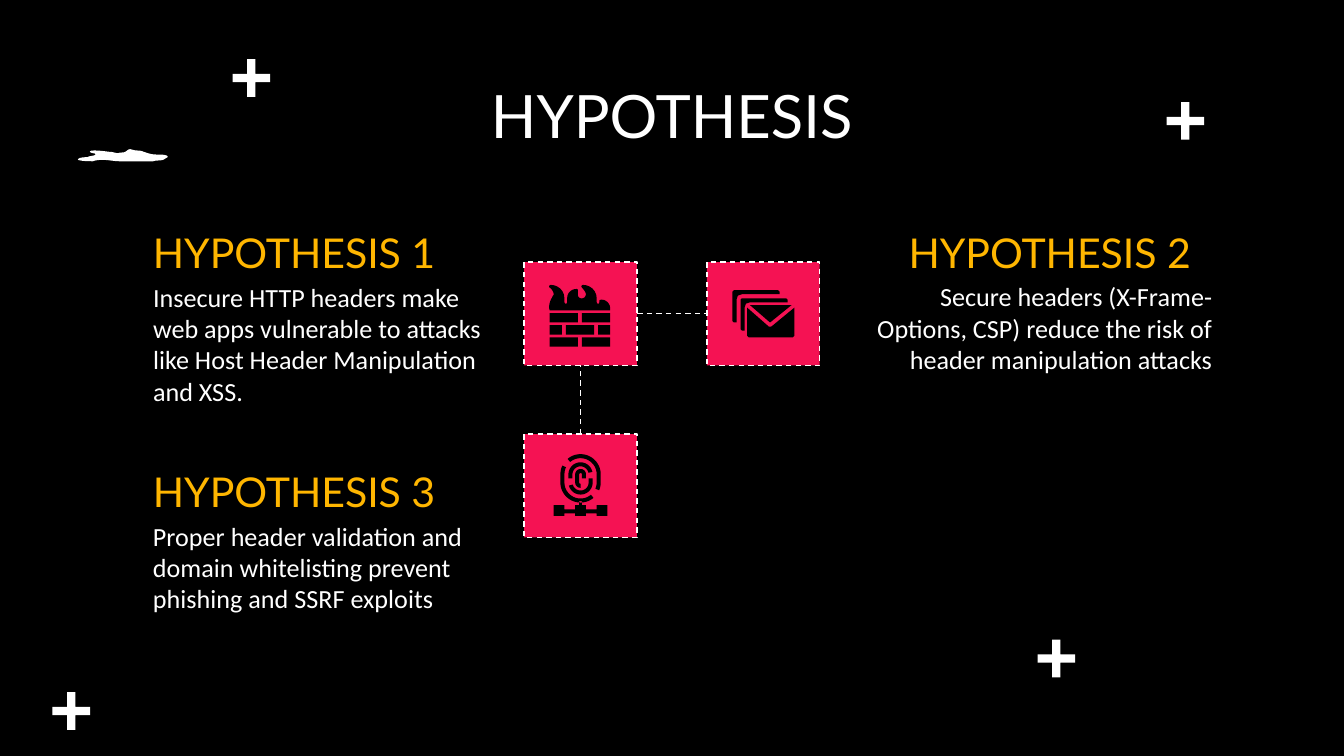
"""Builds the hypothesis slide: three statements beside a linked trio of icon tiles."""
from dataclasses import dataclass
from math import cos, radians, sin

from lxml import etree
from pptx import Presentation
from pptx.dml.color import RGBColor as RGB
from pptx.enum.dml import MSO_LINE
from pptx.enum.shapes import MSO_CONNECTOR, MSO_SHAPE
from pptx.enum.text import MSO_ANCHOR as ANCHOR, PP_ALIGN as ALIGN
from pptx.oxml.ns import qn
from pptx.util import Inches, Pt


@dataclass(frozen=True)
class Theme:
    black: RGB = RGB(0, 0, 0)
    white: RGB = RGB(255, 255, 255)
    amber: RGB = RGB(0xFF, 0xB6, 0x00)
    crimson: RGB = RGB(0xF5, 0x12, 0x53)
    display: str = "Lato"
    body: str = "Calibri"
    title_size: int = 32
    heading_size: int = 22
    body_size: int = 14
    dash_width: float = 0.75


def apply(target, values):
    for name, value in values.items():
        setattr(target, name, value)


def box(left, top, right, bottom):
    return [(left, top), (right, top), (right, bottom), (left, bottom)]


def shifted(outline, dx, dy):
    return [(x + dx, y + dy) for x, y in outline]


def traced(segments, steps=6):
    points = []
    for segment in segments:
        if len(segment) == 2:
            points.append(segment)
            continue
        x0, y0 = points[-1]
        x1, y1, x2, y2, x3, y3 = segment
        for step in range(1, steps + 1):
            t = step / steps
            a, b, c, d = (1 - t) ** 3, 3 * t * (1 - t) ** 2, 3 * t * t * (1 - t), t ** 3
            points.append((a * x0 + b * x1 + c * x2 + d * x3,
                           a * y0 + b * y1 + c * y2 + d * y3))
    return points


def ridge(inner, outer, start, end):
    def point(radius, degrees):
        rise = sin(radians(degrees))
        center = 3.56 + 0.03 * max(-1, min(1, 10 * rise))
        return 4.32 + radius * cos(radians(degrees)), center + radius * rise

    angles = range(start, end + 1, 3)
    return ([point(outer, angle) for angle in angles]
            + [point(inner, angle) for angle in reversed(angles)])


class SlideBuilder:
    def __init__(self, slide, theme):
        self.slide, self.theme, self.shapes = slide, theme, slide.shapes
        self.paint(slide.background, theme.black)

    def paint(self, item, color):
        item.fill.solid()
        item.fill.fore_color.rgb = color

    def dash(self, item):
        item.line.color.rgb = self.theme.white
        apply(item.line, {"width": Pt(self.theme.dash_width), "dash_style": MSO_LINE.DASH})

    def text(self, wording, area, font, size, color, align=ALIGN.LEFT, anchor=ANCHOR.TOP):
        frame = self.shapes.add_textbox(*map(Inches, area)).text_frame
        margins = dict.fromkeys(
            ("margin_left", "margin_top", "margin_right", "margin_bottom"), Inches(0.1))
        apply(frame, {"word_wrap": True, "vertical_anchor": anchor, **margins})
        paragraph = frame.paragraphs[0]
        paragraph.alignment = align
        run = paragraph.add_run()
        run.text = wording
        apply(run.font, {"name": font, "size": Pt(size)})
        run.font.color.rgb = color

    def hypothesis(self, number, claim, left, top, size, align):
        theme = self.theme
        self.text(claim, (left, top + 0.46, *size), theme.body, theme.body_size,
                  theme.white, align)
        self.text(f"HYPOTHESIS {number}", (left, top, 2.64, 0.63), theme.display,
                  theme.heading_size, theme.amber, align, ANCHOR.BOTTOM)

    def tile(self, left, top):
        tile = self.shapes.add_shape(
            MSO_SHAPE.RECTANGLE, *map(Inches, (left, top, 0.84, 0.77)))
        tile.shadow.inherit = False
        self.paint(tile, self.theme.crimson)
        self.dash(tile)
        return tile

    def link(self, origin, origin_side, target, target_side):
        link = self.shapes.add_connector(MSO_CONNECTOR.STRAIGHT, 0, 0, 0, 0)
        link.begin_connect(origin, origin_side)
        link.end_connect(target, target_side)
        self.dash(link)
        etree.SubElement(link._element.spPr, qn("a:effectLst"))

    def plus(self, left, top):
        plus = self.shapes.add_shape(
            MSO_SHAPE.CROSS, *map(Inches, (left, top, 0.28, 0.28)))
        plus.adjustments[0] = 0.39
        plus.shadow.inherit = False
        self.paint(plus, self.theme.white)
        plus.line.fill.background()

    def outline(self, contours, color):
        pens = [[(Inches(x), Inches(y)) for x, y in contour] for contour in contours]
        builder = self.shapes.build_freeform(*pens[0][0], scale=1.0)
        for index, points in enumerate(pens):
            if index:
                builder.move_to(*points[0])
            builder.add_line_segments(points[1:], close=True)
        form = builder.convert_to_shape()
        form.shadow.inherit = False
        self.paint(form, color)
        form.line.fill.background()
        return form

    def icon(self, *parts):
        self.shapes.add_group_shape(
            [self.outline(contours, self.theme.black) for contours in parts])


CLOUD = [
    (0.97, 1.11), (0.95, 1.11, 0.94, 1.13, 0.93, 1.13), (0.92, 1.14, 0.9, 1.13, 0.88, 1.14),
    (0.86, 1.14, 0.84, 1.13, 0.82, 1.13), (0.81, 1.13, 0.75, 1.12, 0.71, 1.12),
    (0.69, 1.12, 0.67, 1.12, 0.67, 1.13), (0.67, 1.14, 0.72, 1.14, 0.71, 1.15),
    (0.71, 1.16, 0.66, 1.16, 0.65, 1.17), (0.63, 1.17, 0.58, 1.17, 0.58, 1.19),
    (0.62, 1.2, 0.65, 1.2, 0.69, 1.2), (0.72, 1.19, 0.74, 1.19, 0.77, 1.19),
    (0.81, 1.19, 0.85, 1.2, 0.89, 1.2), (1.14, 1.2), (1.17, 1.19, 1.21, 1.2, 1.23, 1.18),
    (1.28, 1.16, 1.22, 1.15, 1.19, 1.15), (1.16, 1.15), (1.13, 1.15, 1.1, 1.14, 1.07, 1.13),
    (1.05, 1.12, 1.03, 1.12, 1.01, 1.12)]
FLAMES = [
    (4.1, 2.12), (4.09, 2.12, 4.08, 2.13, 4.09, 2.14), (4.09, 2.14, 4.12, 2.16, 4.12, 2.19),
    (4.12, 2.2, 4.11, 2.2, 4.11, 2.21), (4.09, 2.24, 4.08, 2.28, 4.09, 2.31), (4.54, 2.31),
    (4.54, 2.29), (4.54, 2.26, 4.51, 2.23, 4.48, 2.23), (4.47, 2.23, 4.46, 2.23, 4.46, 2.24),
    (4.46, 2.25, 4.46, 2.26, 4.45, 2.26), (4.44, 2.26, 4.44, 2.25, 4.44, 2.24), (4.44, 2.22),
    (4.44, 2.16, 4.39, 2.12, 4.34, 2.12), (4.33, 2.12, 4.32, 2.13, 4.33, 2.14),
    (4.33, 2.14, 4.36, 2.17, 4.36, 2.19), (4.36, 2.2, 4.35, 2.22, 4.33, 2.22),
    (4.31, 2.22, 4.3, 2.21, 4.3, 2.19), (4.3, 2.16), (4.3, 2.16, 4.3, 2.15, 4.29, 2.15),
    (4.25, 2.15, 4.22, 2.18, 4.22, 2.22), (4.22, 2.24), (4.22, 2.25, 4.22, 2.26, 4.21, 2.26),
    (4.2, 2.26, 4.2, 2.25, 4.2, 2.24), (4.2, 2.22), (4.2, 2.16, 4.15, 2.12, 4.1, 2.12)]
HALF_ROW, FULL_ROW = [(4.09, 4.3), (4.33, 4.54)], [(4.09, 4.18), (4.21, 4.42), (4.45, 4.54)]
BRICKS = [box(left, 2.33 + 0.09 * row, right, 2.4 + 0.09 * row)
          for row, spans in enumerate((HALF_ROW, FULL_ROW, HALF_ROW))
          for left, right in spans]
ENVELOPE = [
    [(5.58, 2.27), (5.73, 2.4), (5.89, 2.27)],
    [(5.56, 2.29), (5.56, 2.5), (5.57, 2.51), (5.9, 2.51), (5.91, 2.5), (5.91, 2.29),
     (5.74, 2.43), (5.72, 2.43)]]
LETTER_EDGE = [
    (0.01, 0), (0.34, 0), (0.35, 0.01), (0.35, 0.03), (0.07, 0.03), (0.04, 0.04),
    (0.03, 0.07), (0.03, 0.24), (0.01, 0.24), (0, 0.23), (0, 0.01)]
NETWORK = ([box(left, 3.76, left + 0.08, 3.84) for left in (4.12, 4.28, 4.44)]
           + [box(left, 3.79, left + 0.08, 3.82) for left in (4.2, 4.36)]
           + [box(4.31, 3.73, 4.33, 3.76)])
RIDGES = [(0.12, 0.15, 230, 385), (0.06, 0.09, 0, 165),
          (0.06, 0.09, 180, 348), (0.01, 0.04, 90, 360)]
HYPOTHESES = [
    ("Insecure HTTP headers make web apps vulnerable to attacks like Host Header "
     "Manipulation and XSS.", 1.04, 1.53, (2.71, 1.11), ALIGN.LEFT),
    ("Secure headers (X-Frame-Options, CSP) reduce the risk of header manipulation attacks",
     6.32, 1.53, (2.8, 1.03), ALIGN.RIGHT),
    ("Proper header validation and domain whitelisting prevent phishing and SSRF exploits",
     1.04, 3.31, (2.86, 1.17), ALIGN.LEFT)]
PLUSES = [(0.39, 5.15), (1.73, 0.44), (7.72, 4.76), (8.68, 0.76)]


def main():
    deck = Presentation()
    apply(deck, {"slide_width": Inches(10), "slide_height": Inches(10 * 9 / 16)})
    theme = Theme()
    page = SlideBuilder(deck.slides.add_slide(deck.slide_layouts[6]), theme)

    for left, top in PLUSES:
        page.plus(left, top)
    page.outline([traced(CLOUD)], theme.white)
    page.text("HYPOTHESIS", (0.78, 0.49, 8.44, 0.63), theme.display, theme.title_size,
              theme.white, ALIGN.CENTER)
    for number, hypothesis in enumerate(HYPOTHESES, 1):
        page.hypothesis(number, *hypothesis)

    firewall, mail, identity = (
        page.tile(left, top) for left, top in ((3.9, 1.95), (5.26, 1.95), (3.9, 3.23)))
    page.link(firewall, 3, mail, 1)
    page.link(identity, 0, firewall, 2)

    page.icon([ridge(0.12, 0.15, 50, 208), *NETWORK], *([ridge(*arc)] for arc in RIDGES))
    page.icon(ENVELOPE, *([shifted(LETTER_EDGE, left, top)]
                          for left, top in ((5.51, 2.22), (5.45, 2.16))))
    page.icon(BRICKS, [traced(FLAMES)])
    deck.save("out.pptx")


if __name__ == "__main__":
    main()
